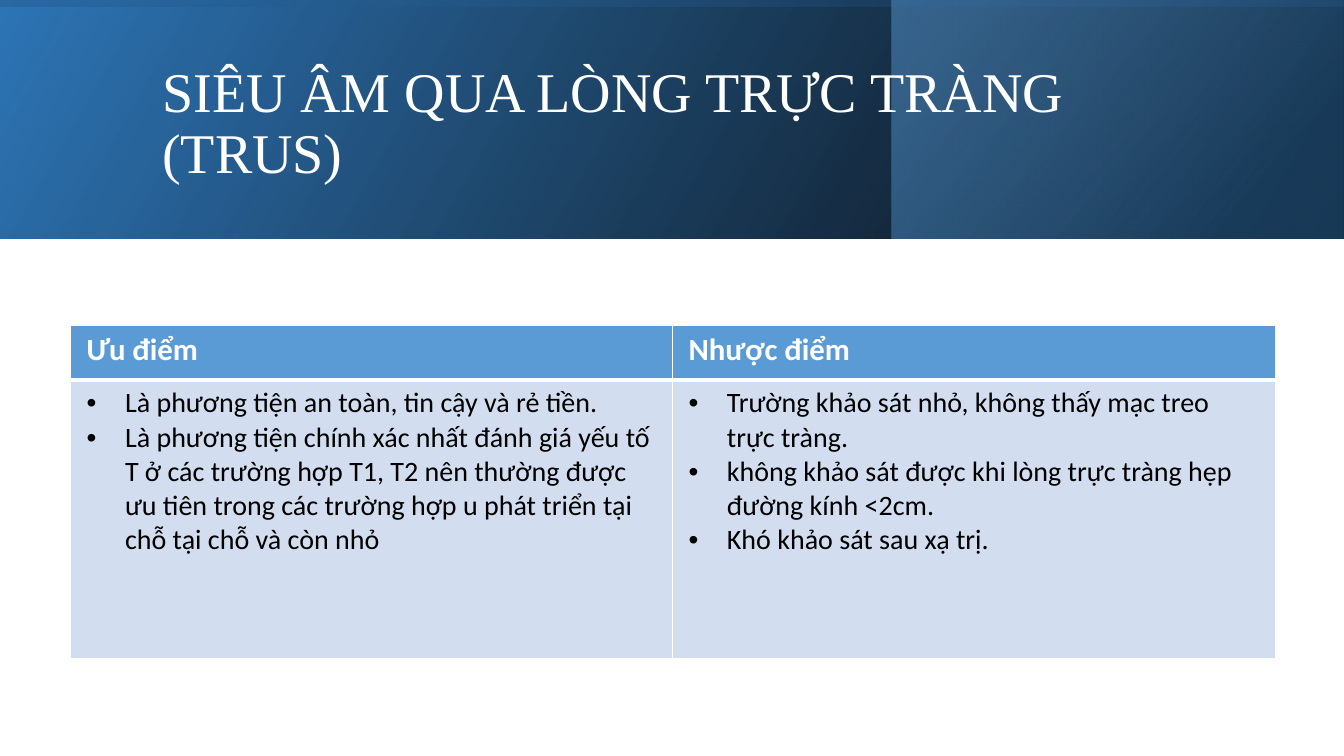
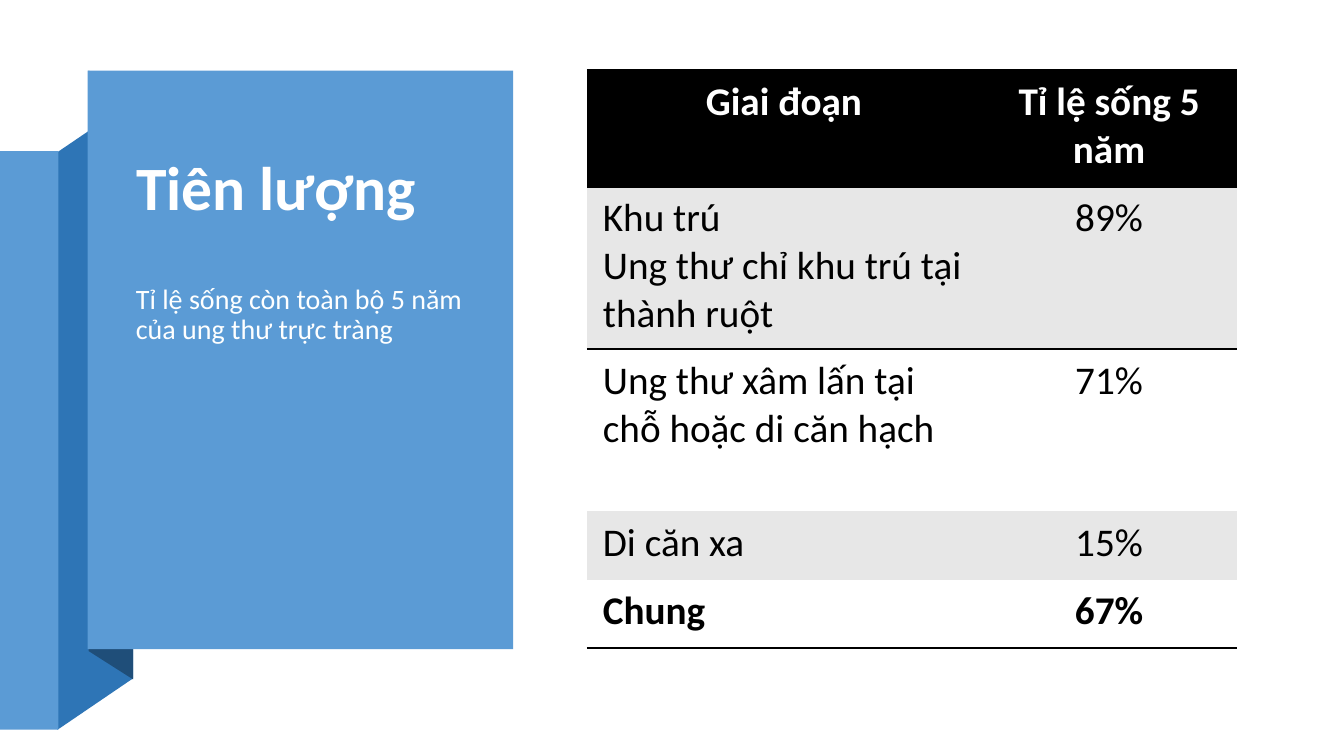
import pptx
import pptx.util
import pptx.dml.color
import pptx.enum.shapes
import pptx.enum.text
import pptx.oxml
import pptx.oxml.ns

Inches, Pt = pptx.util.Inches, pptx.util.Pt
RGB = pptx.dml.color.RGBColor.from_string
ALIGN = pptx.enum.text.PP_ALIGN
RECTANGLE = pptx.enum.shapes.MSO_SHAPE.RECTANGLE
NS = pptx.oxml.ns.nsdecls("a")

COLORS = {
    "white": "FFFFFF", "black": "000000", "blue": "5B9BD5", "mid": "2E75B6",
    "navy": "1F4E79", "pale": "D2DEEF", "grey": "E7E7E7", "off_white": "FEFFFF",
}
NO_STYLE = "{2D5ABB26-0587-4C30-8999-92F81FD0307C}"
BULLET_INDENT = Inches(0.38)


def write(frame, lines, color, align=ALIGN.LEFT, bullet=False, spacing=None, **font):
    """Put one paragraph per line into the frame, formatted alike."""
    frame.word_wrap = True
    for number, line in enumerate(lines):
        paragraph = frame.add_paragraph() if number else frame.paragraphs[0]
        if bullet:
            props = paragraph._p.get_or_add_pPr()
            props.set("marL", str(BULLET_INDENT))
            props.set("indent", str(-BULLET_INDENT))
            props.append(pptx.oxml.parse_xml(f'<a:buFont {NS} typeface="Arial"/>'))
            props.append(pptx.oxml.parse_xml(f'<a:buChar {NS} char="•"/>'))
        paragraph.alignment = align
        paragraph.line_spacing = spacing
        run = paragraph.add_run()
        run.text = line
        for name, value in ({"name": "Calibri"} | font).items():
            setattr(run.font, name, value)
        run.font.color.rgb = RGB(COLORS[color])


def build_table(slide, place, widths, heights, rows, margin_y):
    """Each cell is (lines, text format, fill, {side: (color, points)})."""
    graphic = slide.shapes.add_table(len(heights), len(widths), *map(Inches, place))
    graphic._element.find(".//" + pptx.oxml.ns.qn("a:tableStyleId")).text = NO_STYLE
    table = graphic.table
    for column, width in zip(table.columns, widths):
        column.width = Inches(width)
    margins = {"margin_left": 0.16, "margin_right": 0.16,
               "margin_top": margin_y, "margin_bottom": margin_y}
    for r, (height, row) in enumerate(zip(heights, rows)):
        table.rows[r].height = Inches(height)
        for c, (lines, text_format, fill, borders) in enumerate(row):
            cell = table.cell(r, c)
            for name, value in margins.items():
                setattr(cell, name, Inches(value))
            write(cell.text_frame, lines, **text_format)
            cell.fill.solid()
            cell.fill.fore_color.rgb = RGB(COLORS[fill])
            sides = [side for side in "LRTB" if side in borders]
            for position, side in enumerate(sides):
                color, points = borders[side]
                cell._tc.tcPr.insert(position, pptx.oxml.parse_xml(
                    f'<a:ln{side} {NS} w="{Pt(points)}"><a:solidFill>'
                    f'<a:srgbClr val="{COLORS[color]}"/></a:solidFill></a:ln{side}>'))


deck = pptx.Presentation()
deck.slide_width, deck.slide_height = Inches(13.33), Inches(7.5)
title_only = deck.slide_layouts[5]

# Slide 1: gradient header; stops are (position %, color, opacity %)
slide = deck.slides.add_slide(title_only)
header_bands = [
    ((0, 0, 13.33, 2.37), 0, 330, [(0, "black", 96), (100, "mid", 100)]),
    ((8.84, 0, 4.48, 2.37), 0, 320, [(19, "navy", 68), (100, "blue", 48)]),
    ((5.48, -5.48, 2.37, 13.33), 270, 350, [(23, "mid", 16), (99, "black", 45)]),
]
for place, rotation, angle, stops in header_bands:
    band = slide.shapes.add_shape(RECTANGLE, *map(Inches, place))
    band.shadow.inherit = False
    band.line.fill.background()
    band.rotation = rotation
    properties = band._element.spPr
    properties.xfrm.set("flipH", "1")
    stop_xml = "".join(
        f'<a:gs pos="{position * 1000}"><a:srgbClr val="{COLORS[color]}">'
        f'<a:alpha val="{opacity * 1000}"/></a:srgbClr></a:gs>'
        for position, color, opacity in stops)
    properties.insert(2, pptx.oxml.parse_xml(
        f'<a:gradFill {NS} rotWithShape="1"><a:gsLst>{stop_xml}</a:gsLst>'
        f'<a:lin ang="{angle * 60000}" scaled="0"/></a:gradFill>'))

heading = dict(color="white", size=Pt(22), bold=True)
points = dict(color="black", size=Pt(20), bullet=True)
thin = {side: ("white", 1) for side in "LRTB"}
under_heading = thin | {"B": ("white", 3)}
below_heading = thin | {"T": ("white", 3)}
advantages = [
    "Là phương tiện an toàn, tin cậy và rẻ tiền.",
    "Là phương tiện chính xác nhất đánh giá yếu tố T ở các trường hợp T1, T2 nên "
    "thường được ưu tiên trong các trường hợp u phát triển tại chỗ tại chỗ và còn nhỏ",
]
drawbacks = [
    "Trường khảo sát nhỏ, không thấy mạc treo trực tràng.",
    "không khảo sát được khi lòng trực tràng hẹp đường kính <2cm.",
    "Khó khảo sát sau xạ trị.",
]
comparison = [
    [([name], heading, "blue", under_heading) for name in ("Ưu điểm", "Nhược điểm")],
    [(lines, points, "pale", below_heading) for lines in (advantages, drawbacks)],
]
build_table(slide, (0.7, 3.23, 11.95, 3.31), (5.97, 5.98), (0.54, 2.76), comparison, 0.06)

# Slide 2: folded ribbon and survival table
slide = deck.slides.add_slide(title_only)
ribbon = [
    ("mid", [(0.57, 7.24), (1.32, 6.73), (1.32, 1), (0.57, 1.51)]),
    ("blue", (0, 1.5, 0.58, 5.74)),
    ("navy", [(0.88, 6.46), (1.32, 6.74), (1.32, 0.99), (0.88, 0.7)]),
    ("blue", (0.87, 0.7, 4.22, 5.74)),
]
for color, outline in ribbon:
    if isinstance(outline, list):
        corners = [(Inches(x), Inches(y)) for x, y in outline]
        builder = slide.shapes.build_freeform(*corners[0])
        builder.add_line_segments(corners[1:], close=True)
        fold = builder.convert_to_shape()
    else:
        fold = slide.shapes.add_shape(RECTANGLE, *map(Inches, outline))
    fold.shadow.inherit = False
    fold.fill.solid()
    fold.fill.fore_color.rgb = RGB(COLORS[color])
    fold.line.fill.background()

subtitle = slide.shapes.add_textbox(*map(Inches, (1.25, 2.78, 3.5, 3.27)))
write(subtitle.text_frame, ["Tỉ lệ sống còn toàn bộ 5 năm của ung thư trực tràng"],
      "off_white", spacing=0.9, size=Pt(20))

rule = ("black", 2)
survival_rows = [
    (["Giai đoạn"], "Tỉ lệ sống 5 năm", "black", {"T": rule, "B": rule}),
    (["Khu trú", "Ung thư chỉ khu trú tại thành ruột"], "89%", "grey", {"T": rule}),
    (["Ung thư xâm lấn tại chỗ hoặc di căn hạch"], "71%", "white", {}),
    (["Di căn xa"], "15%", "grey", {}),
    (["Chung"], "67%", "white", {"B": rule}),
]
survival = []
for stage, rate, fill, borders in survival_rows:
    is_heading = fill == "black"
    text_format = dict(color="white" if is_heading else "black", size=Pt(28),
                       bold=is_heading or stage == ["Chung"])
    centred = text_format | {"align": ALIGN.CENTER}
    survival.append([(stage, centred if is_heading else text_format, fill, borders),
                     ([rate], centred, fill, borders)])
build_table(slide, (5.82, 0.7, 6.45, 5.74), (3.91, 2.54),
            (1.15, 1.61, 1.61, 0.68, 0.68), survival, 0.08)

titles = [
    ("SIÊU ÂM QUA LÒNG TRỰC TRÀNG (TRUS)", (1.51, 0.38, 10.63, 1.72),
     dict(name="Times New Roman", size=Pt(40))),
    ("Tiên lượng", (1.25, 1.09, 3.48, 1.61), dict(size=Pt(44), bold=True)),
]
for slide, (words, place, font) in zip(deck.slides, titles):
    title = slide.shapes.title
    for name, value in zip(("left", "top", "width", "height"), place):
        setattr(title, name, Inches(value))
    title.text_frame.auto_size = pptx.enum.text.MSO_AUTO_SIZE.NONE
    title.text_frame.vertical_anchor = pptx.enum.text.MSO_ANCHOR.MIDDLE
    write(title.text_frame, [words], "white", spacing=0.9, **font)
    slide.shapes._spTree.append(title._element)  # in front of the coloured areas

deck.save("out.pptx")
